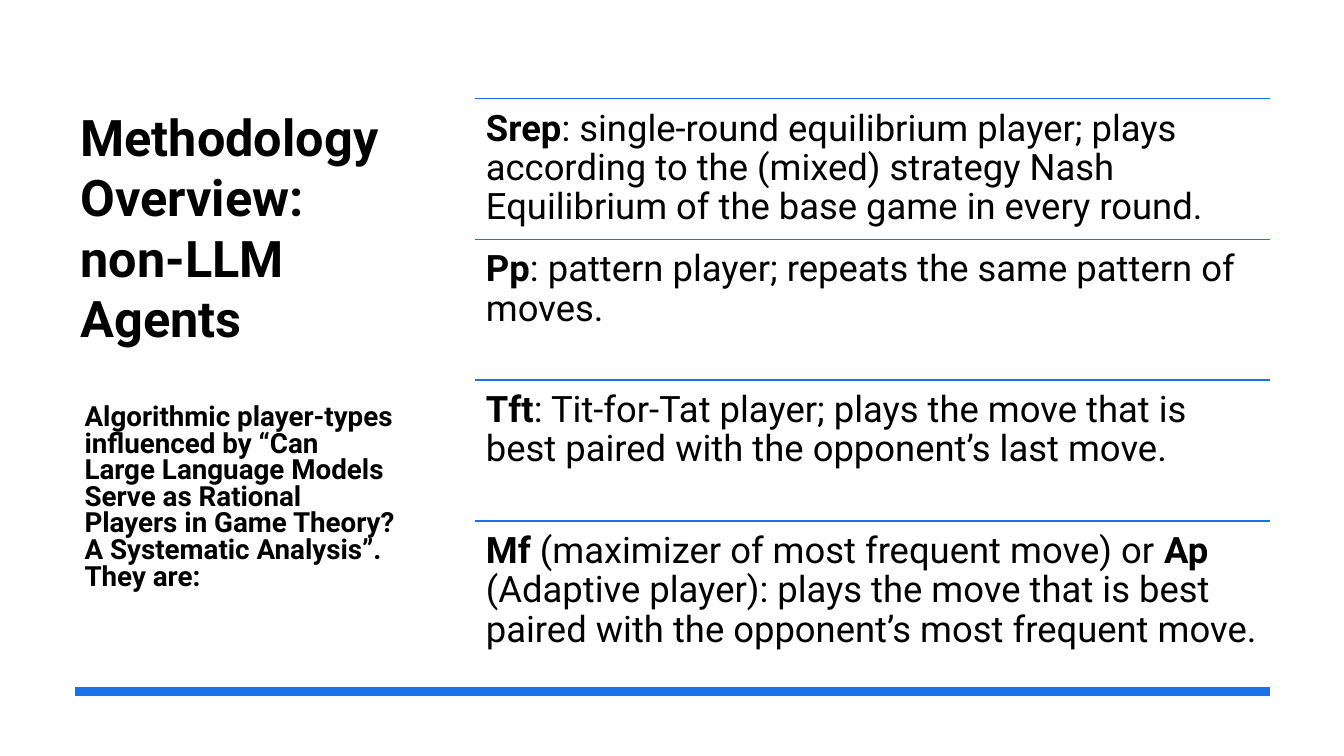
from dataclasses import dataclass

from lxml.etree import SubElement
from pptx import Presentation
from pptx.dml.color import RGBColor
from pptx.enum.shapes import MSO_CONNECTOR as Connector
from pptx.oxml.ns import qn
from pptx.slide import Slide
from pptx.util import Inches, Pt

BLACK = RGBColor(0x00, 0x00, 0x00)
BLUE = RGBColor(0x19, 0x73, 0xEB)
FONT = "Roboto"

SLIDE_WIDTH = Inches(13.33)
SLIDE_HEIGHT = Inches(7.5)

# Percent of the slide's width and height
LEFT, RIGHT = 5.55, 94.52
AGENT_LEFT = 35.33
AGENT_TOP, AGENT_PITCH = 13.03, 18.63
BASELINE = 91.47


@dataclass(frozen=True)
class Span:
    text: str
    bold: bool = False


@dataclass(frozen=True)
class TextBlock:
    left: float
    top: float
    width: float
    height: float
    size: float
    spans: tuple[Span, ...]
    line_spacing: float = 1.0
    side_inset: float = 0.1
    top_inset: float = 0.05


TITLE = TextBlock(
    5.25, 13.33, 24.61, 33.73, 36,
    (Span("Methodology Overview: non-LLM Agents", True),),
)
INTRODUCTION = TextBlock(
    LEFT, 52.93, 24.61, 27.87, 19.8,
    (Span(
        "Algorithmic player-types influenced by “Can Large Language Models "
        "Serve as Rational Players in Game Theory? A Systematic Analysis”. "
        "They are:",
        True,
    ),),
    line_spacing=0.8,
)
AGENTS = (
    (
        Span("Srep", True),
        Span(": single-round equilibrium player; plays according to the (mixed) "
             "strategy Nash Equilibrium of the base game in every round."),
    ),
    (
        Span("Pp", True),
        Span(": pattern player; repeats the same pattern of moves."),
    ),
    (
        Span("Tft", True),
        Span(": Tit-for-Tat player; plays the move that is best paired with "
             "the opponent’s last move."),
    ),
    (
        Span("Mf", True),
        Span(" (maximizer of most frequent move) or "),
        Span("Ap", True),
        Span(" (Adaptive player): plays the move that is best paired with "
             "the opponent’s most frequent move."),
    ),
)


def across(percent: float) -> int:
    return round(SLIDE_WIDTH * percent / 100)


def down(percent: float) -> int:
    return round(SLIDE_HEIGHT * percent / 100)


def add_rule(page: Slide, left: float, top: float, weight: float) -> None:
    rule = page.shapes.add_connector(
        Connector.STRAIGHT, across(left), down(top), across(RIGHT), down(top)
    )
    rule.line.color.rgb = BLUE
    rule.line.width = Pt(weight)
    SubElement(rule.element.spPr, qn("a:effectLst"))


def add_text(page: Slide, block: TextBlock) -> None:
    box = page.shapes.add_textbox(
        across(block.left), down(block.top), across(block.width), down(block.height)
    )
    frame = box.text_frame
    frame.word_wrap = True
    frame.margin_left = frame.margin_right = Inches(block.side_inset)
    frame.margin_top = frame.margin_bottom = Inches(block.top_inset)
    para = frame.paragraphs[0]
    para.line_spacing = block.line_spacing
    para.font.name = FONT
    para.font.size = Pt(block.size)
    para.font.color.rgb = BLACK
    for span in block.spans:
        run = para.add_run()
        run.text = span.text
        run.font.bold = span.bold


def main() -> None:
    deck = Presentation()
    deck.slide_width = SLIDE_WIDTH
    deck.slide_height = SLIDE_HEIGHT
    page = deck.slides.add_slide(deck.slide_layouts[6])

    add_text(page, TITLE)
    add_rule(page, LEFT, BASELINE, 6)
    for row, spans in enumerate(AGENTS):
        top = AGENT_TOP + row * AGENT_PITCH
        add_rule(page, AGENT_LEFT, top, 1)
        add_text(page, TextBlock(
            AGENT_LEFT, top, RIGHT - AGENT_LEFT, AGENT_PITCH, 26, spans,
            line_spacing=0.9, side_inset=0.11, top_inset=0.11,
        ))
    add_text(page, INTRODUCTION)

    deck.save("out.pptx")


if __name__ == "__main__":
    main()
